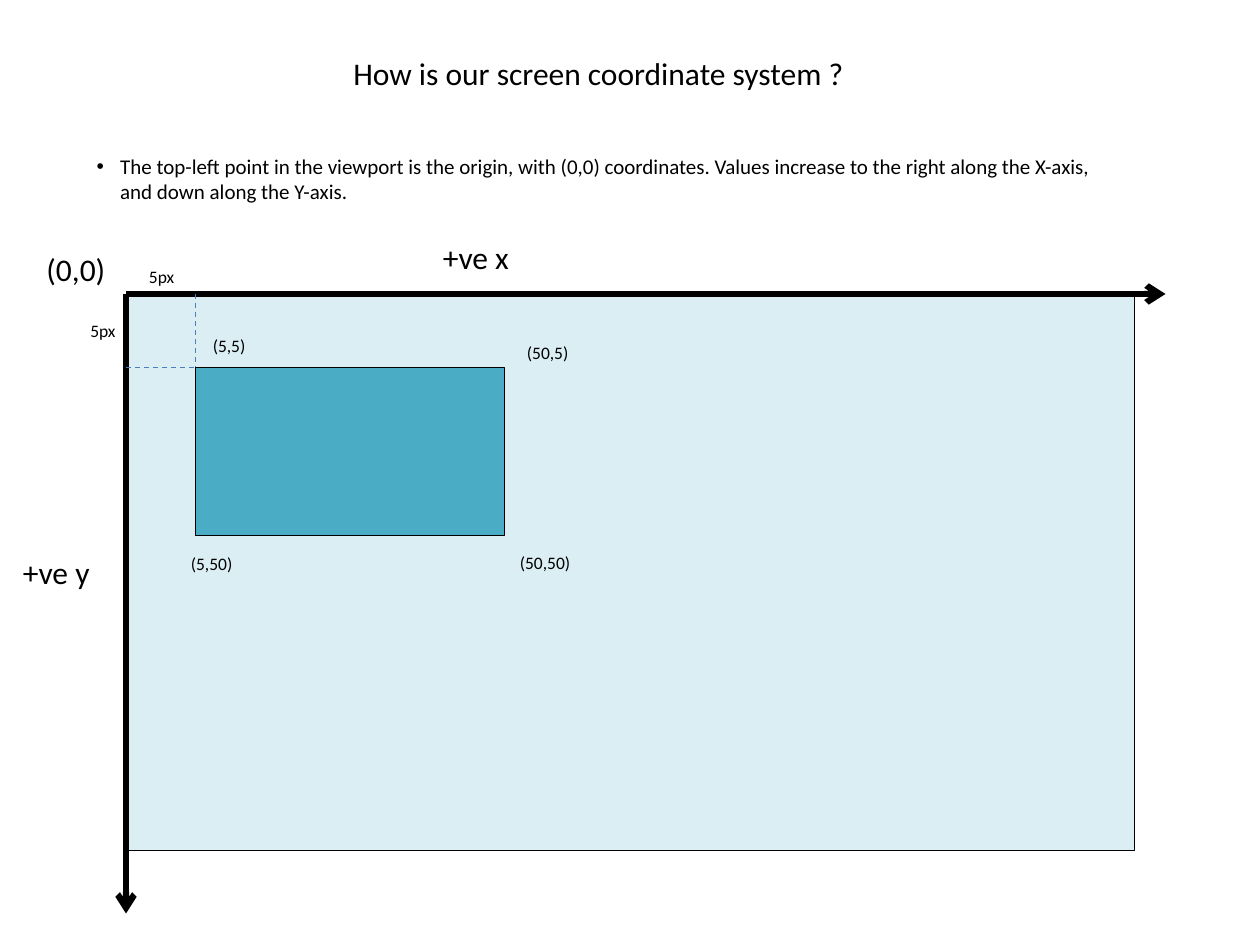
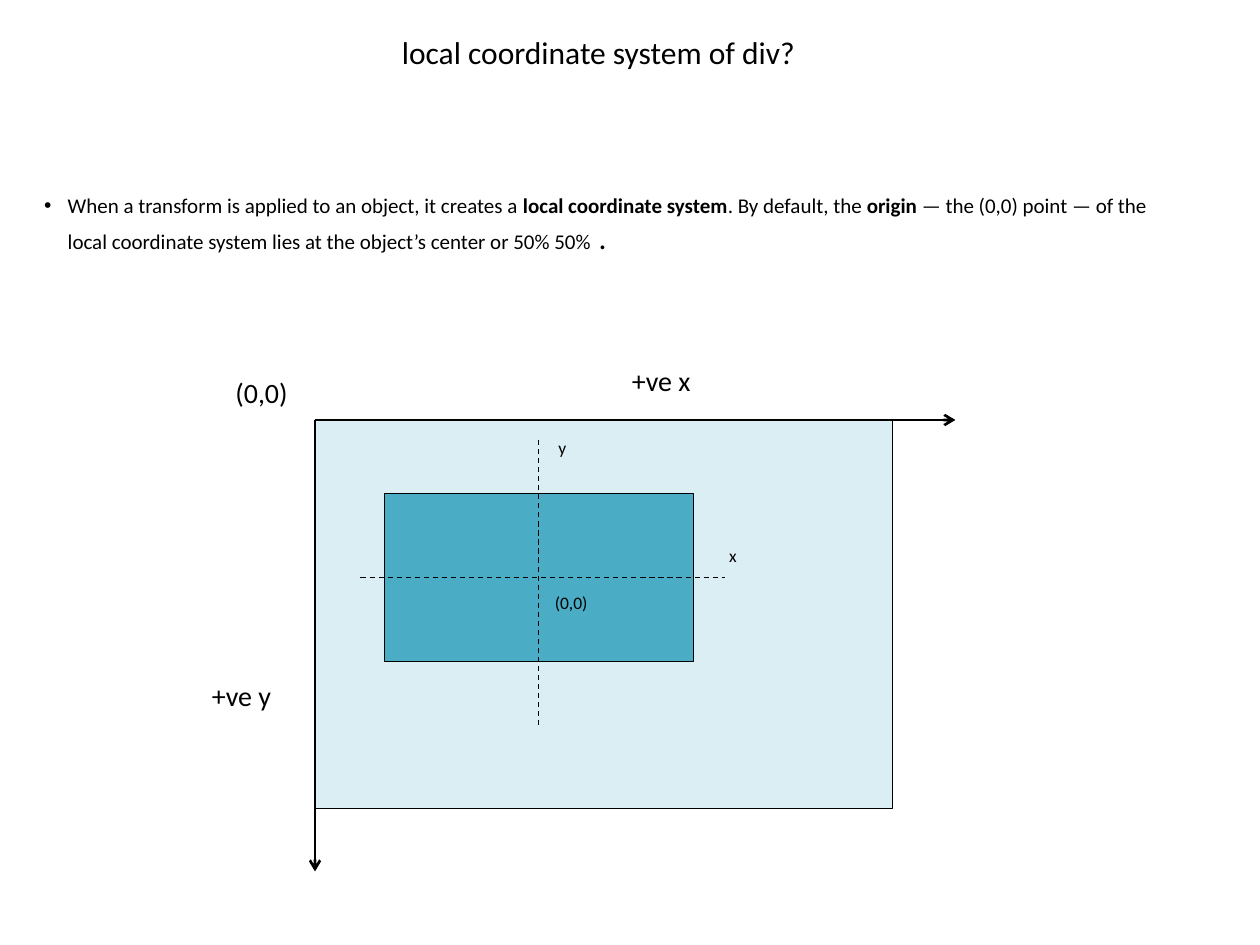
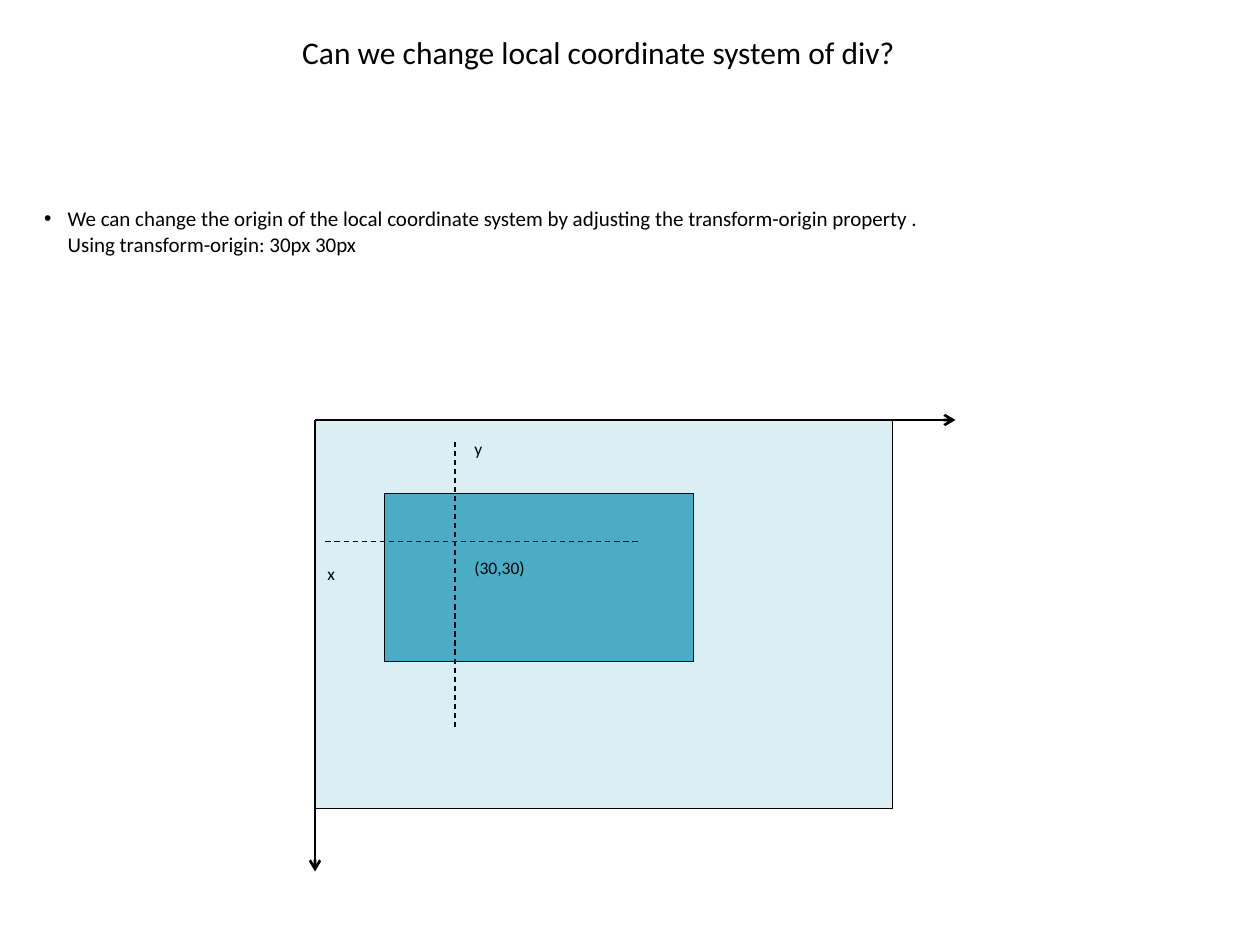
from lxml import etree
from pptx import Presentation
from pptx.dml.color import RGBColor
from pptx.enum.dml import MSO_LINE
from pptx.enum.shapes import MSO_CONNECTOR, MSO_SHAPE
from pptx.enum.text import MSO_ANCHOR, MSO_AUTO_SIZE, PP_ALIGN
from pptx.oxml.ns import qn
from pptx.util import Pt

STRAIGHT = MSO_CONNECTOR.STRAIGHT
RECTANGLE = MSO_SHAPE.RECTANGLE
DASH = MSO_LINE.DASH
TOP = MSO_ANCHOR.TOP
NO_FIT = MSO_AUTO_SIZE.NONE
LEFT, CENTER = PP_ALIGN.LEFT, PP_ALIGN.CENTER

FONT = "Calibri"
COLORS = {"ink": "000000", "viewport": "DBEEF4", "div": "4BACC6", "guide": "4B7EBC"}
FRAME_FORMAT = {"word_wrap": True, "auto_size": NO_FIT, "vertical_anchor": TOP}

TITLE_LEFT, TITLE_WIDTH, TITLE_HEIGHT = 30, 624, 51
BULLET_INDENT = 13.5
DIV_OFFSET = (39.6, 42)
DIV_SIZE = (176.4, 96)

# Viewport of the two slides on local coordinates
LOCAL_VIEW = {"origin": (180, 240), "size": (330, 222), "reach": (366, 258), "weight": 1.5}

# Content: a body paragraph is a list of (text, size, bold);
# a label is (text, size, left, top, width);
# a dashed line is (x1, y1, x2, y2, colour) measured from the viewport origin
SLIDES = [
    {
        "title": ("How is our screen coordinate system ?", 27),
        "body_box": (48, 84, 600, 36),
        "body": [[("The top-left point in the viewport is the origin, with (0,0) coordinates. "
                   "Values increase to the right along the X-axis, and down along the Y-axis.",
                   12, False)]],
        "view": {"origin": (72, 168), "size": (576, 318), "reach": (594, 354), "weight": 3.5},
        "dashes": [
            (DIV_OFFSET[0], 0, *DIV_OFFSET, "guide"),
            (0, DIV_OFFSET[1], *DIV_OFFSET, "guide"),
        ],
        "labels": [
            ("(0,0)", 18, 19.5, 139.5, 52.5),
            ("+ve x", 18, 246, 132.5, 84),
            ("+ve y", 18, 6, 312.5, 63),
            ("5px", 10, 44.5, 179.5, 40),
            ("5px", 10, 78, 148.5, 40),
            ("(5,5)", 10, 114.5, 188, 40),
            ("(5,50)", 10, 102, 312.5, 40),
            ("(50,50)", 10, 290, 312, 52),
            ("(50,5)", 10, 294, 192, 40),
        ],
    },
    {
        "title": ("local coordinate system of div?", 15),
        "body_box": (18, 106.5, 666, 44),
        "body": [[
            ("When a transform is applied to an object, it creates a ", 12, False),
            ("local coordinate system", 12, True),
            (". By default, the ", 12, False),
            ("origin", 12, True),
            (" — the (0,0) point — of the local coordinate system lies at "
             "the object’s center or 50% 50%", 12, False),
            (" .", 18, False),
        ]],
        "view": LOCAL_VIEW,
        "dashes": [(127.8, 11.5, 127.8, 176, "ink"), (26, 90, 234, 90, "ink")],
        "labels": [
            ("(0,0)", 16, 127.5, 211, 52.5),
            ("+ve x", 16, 354, 204, 84),
            ("+ve y", 16, 114, 384, 63),
            ("(0,0)", 10, 310, 335, 40),
            ("y", 10, 312, 246, 40),
            ("x", 10, 409.5, 308, 40),
        ],
    },
    {
        "title": ("Can we change local coordinate system of div?", 15),
        "body_box": (18, 114, 666, 36),
        "body": [
            [("We can change the origin of the local coordinate system by adjusting "
              "the transform-origin property .", 12, False)],
            [("Using transform-origin: 30px 30px", 12, False)],
        ],
        "view": LOCAL_VIEW,
        "dashes": [(80, 12.5, 80, 177.5, "ink"), (6, 69.5, 186, 69.5, "ink")],
        "labels": [
            ("(30,30)", 10, 264, 315, 54),
            ("y", 10, 264, 246.5, 40),
            ("x", 10, 180, 318, 40),
        ],
    },
]


def color(name):
    return RGBColor.from_string(COLORS[name])


def apply(target, values):
    for name, value in values.items():
        setattr(target, name, value)


def place(shape, left, top, width, height):
    apply(shape, {"left": Pt(left), "top": Pt(top), "width": Pt(width), "height": Pt(height)})


def write(para, spans, align=LEFT):
    apply(para, {"alignment": align, "space_before": Pt(0)})
    for text, size, bold in spans:
        span = para.add_run()
        span.text = text
        apply(span.font, {"name": FONT, "size": Pt(size), "bold": bold})
        span.font.color.rgb = color("ink")


def add_title(page, text, top):
    title = page.shapes.title
    place(title, TITLE_LEFT, top, TITLE_WIDTH, TITLE_HEIGHT)
    apply(title.text_frame, FRAME_FORMAT)
    write(title.text_frame.paragraphs[0], [(text, 18, False)], CENTER)


def add_body(page, box, paragraphs):
    body = page.placeholders[1]
    place(body, *box)
    frame = body.text_frame
    apply(frame, FRAME_FORMAT)
    for number, spans in enumerate(paragraphs):
        para = frame.add_paragraph() if number else frame.paragraphs[0]
        write(para, spans)
        properties = para._p.get_or_add_pPr()
        properties.set("marL", str(Pt(BULLET_INDENT)))
        properties.set("indent", str(0 if number else -Pt(BULLET_INDENT)))
        if number:  # follow-on lines carry no bullet
            etree.SubElement(properties, qn("a:buNone"))


def add_rectangle(group, left, top, size, fill):
    box = group.shapes.add_shape(RECTANGLE, Pt(left), Pt(top), Pt(size[0]), Pt(size[1]))
    box.shadow.inherit = False
    box.fill.solid()
    box.fill.fore_color.rgb = color(fill)
    box.line.color.rgb = color("ink")
    box.line.width = Pt(0.25)


def add_line(group, ends, line_color, weight, dashed=False):
    connector = group.shapes.add_connector(STRAIGHT, *(Pt(end) for end in ends))
    connector.line.color.rgb = color(line_color)
    connector.line.width = Pt(weight)
    if dashed:
        connector.line.dash_style = DASH
    else:
        etree.SubElement(connector.line._get_or_add_ln(), qn("a:tailEnd"), type="arrow")
    etree.SubElement(connector._element.spPr, qn("a:effectLst"))


def add_label(group, text, size, left, top, width):
    height = round(size * 1.22 + 7.2, 1)
    box = group.shapes.add_textbox(Pt(left), Pt(top), Pt(width), Pt(height))
    apply(box.text_frame, FRAME_FORMAT)
    write(box.text_frame.paragraphs[0], [(text, size, False)])


def add_diagram(page, view, dashes, labels):
    group = page.shapes.add_group_shape()
    x, y = view["origin"]
    reach_x, reach_y = view["reach"]

    # Viewport with its two axes
    add_rectangle(group, x, y, view["size"], "viewport")
    for end in ((x + reach_x, y), (x, y + reach_y)):
        add_line(group, (x, y, *end), "ink", view["weight"])

    # Div with its guides or local axes
    add_rectangle(group, x + DIV_OFFSET[0], y + DIV_OFFSET[1], DIV_SIZE, "div")
    for x1, y1, x2, y2, line_color in dashes:
        add_line(group, (x + x1, y + y1, x + x2, y + y2), line_color, 0.75, dashed=True)

    for label in labels:
        add_label(group, *label)


def main():
    deck = Presentation()
    apply(deck, {"slide_width": Pt(720), "slide_height": Pt(540)})
    for content in SLIDES:
        page = deck.slides.add_slide(deck.slide_layouts[1])
        add_title(page, *content["title"])
        add_diagram(page, content["view"], content["dashes"], content["labels"])
        add_body(page, content["body_box"], content["body"])
    deck.save("out.pptx")


if __name__ == "__main__":
    main()
